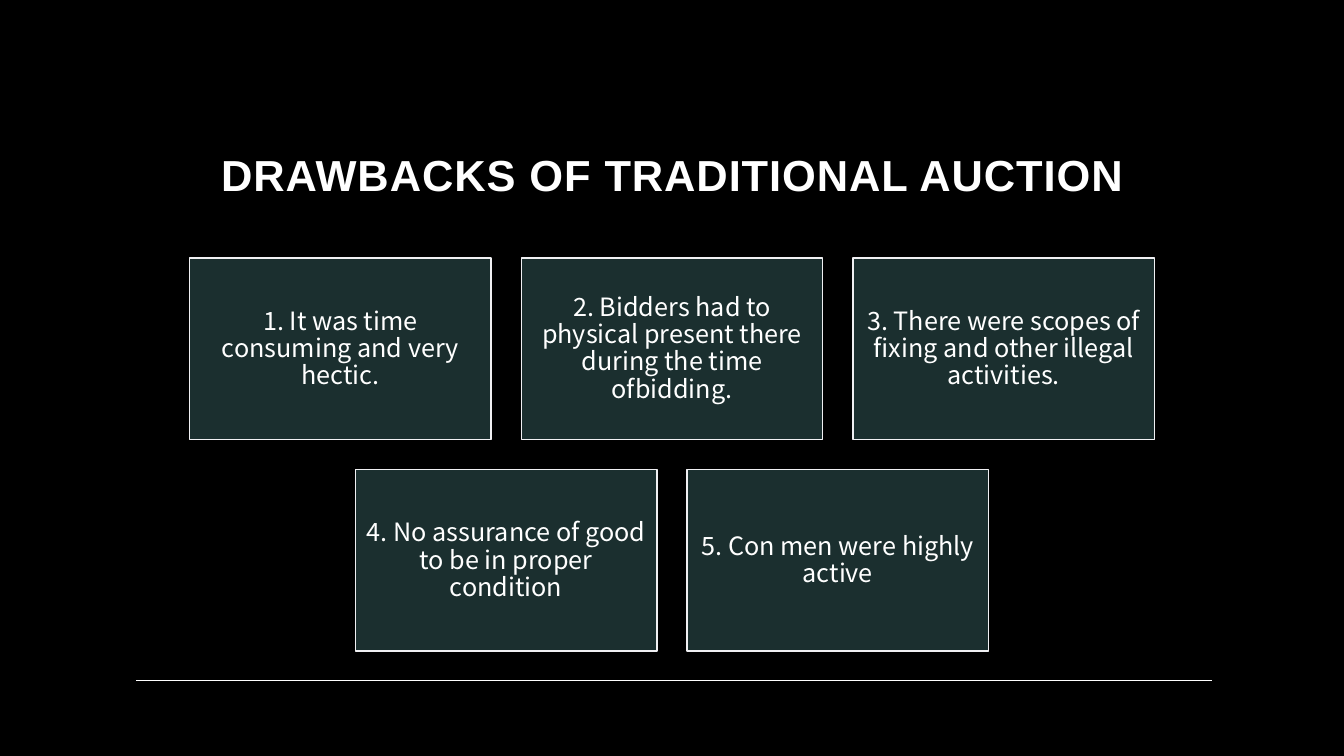
import pptx
import pptx.util
import pptx.dml.color
import pptx.enum.shapes
import pptx.enum.text
import lxml.etree

Inches, Pt = pptx.util.Inches, pptx.util.Pt
ALIGN = pptx.enum.text.PP_ALIGN
ANCHOR = pptx.enum.text.MSO_ANCHOR
WIDE, HIGH = 13.33, 7.5


def paint(color, code):
    color.rgb = pptx.dml.color.RGBColor.from_string(code)


def write(shape, text, face, size, anchor, pad):
    frame = shape.text_frame
    frame.text = text
    frame.word_wrap = True
    frame.auto_size = pptx.enum.text.MSO_AUTO_SIZE.NONE
    frame.vertical_anchor = anchor
    frame.margin_left = frame.margin_right = Inches(pad)
    frame.margin_top = frame.margin_bottom = Inches(pad)
    para = frame.paragraphs[0]
    para.alignment = ALIGN.CENTER
    para.font.name = face
    para.font.size = Pt(size)
    paint(para.font.color, "FFFFFF")
    return para


deck = pptx.Presentation()
deck.slide_width, deck.slide_height = Inches(WIDE), Inches(HIGH)
slide = deck.slides.add_slide(deck.slide_layouts[5])
slide.background.fill.solid()
paint(slide.background.fill.fore_color, "000000")

title = slide.shapes.title
title.left, title.top = Inches(1.92), Inches(0.99)
title.width, title.height = Inches(9.5), Inches(1.1)
head = write(title, "DRAWBACKS OF TRADITIONAL AUCTION", "Arial", 31, ANCHOR.BOTTOM, 0.12)
title.text_frame.margin_bottom = Inches(0.1)
head.font.bold = True
for props in title.element.xpath(".//a:defRPr"):
    props.set("spc", "70")

rule = slide.shapes.add_connector(
    pptx.enum.shapes.MSO_CONNECTOR.STRAIGHT,
    Inches(1.35), Inches(6.75), Inches(12.02), Inches(6.75))
rule.line.width = Pt(1)
paint(rule.line.color, "FFFFFF")
props = rule.element.xpath("./p:spPr")[0]
lxml.etree.SubElement(props, pptx.oxml.ns.qn("a:effectLst"))

rows = [
    ["1. It was time consuming and very hectic.",
     "2. Bidders had to physical present there during the time ofbidding.",
     "3. There were scopes of fixing and other illegal activities."],
    ["4. No assurance of good to be in proper condition",
     "5. Con men were highly active"],
]
box_w, box_h, gap, top = 2.99, 1.8, 0.3, 2.56
for row, texts in enumerate(rows):
    count = len(texts)
    left = (WIDE - count * box_w - (count - 1) * gap) / 2
    for col, text in enumerate(texts):
        box = slide.shapes.add_shape(
            pptx.enum.shapes.MSO_SHAPE.RECTANGLE,
            Inches(left + col * (box_w + gap)), Inches(top + row * (box_h + gap)),
            Inches(box_w), Inches(box_h))
        box.shadow.inherit = False
        box.fill.solid()
        paint(box.fill.fore_color, "1B2F2F")
        paint(box.line.color, "F0F0F3")
        box.line.width = Pt(1)
        para = write(box, text, "Noto Sans CJK KR", 18, ANCHOR.MIDDLE, 0.07)
        para.line_spacing = Pt(19.5)

deck.save("out.pptx")
